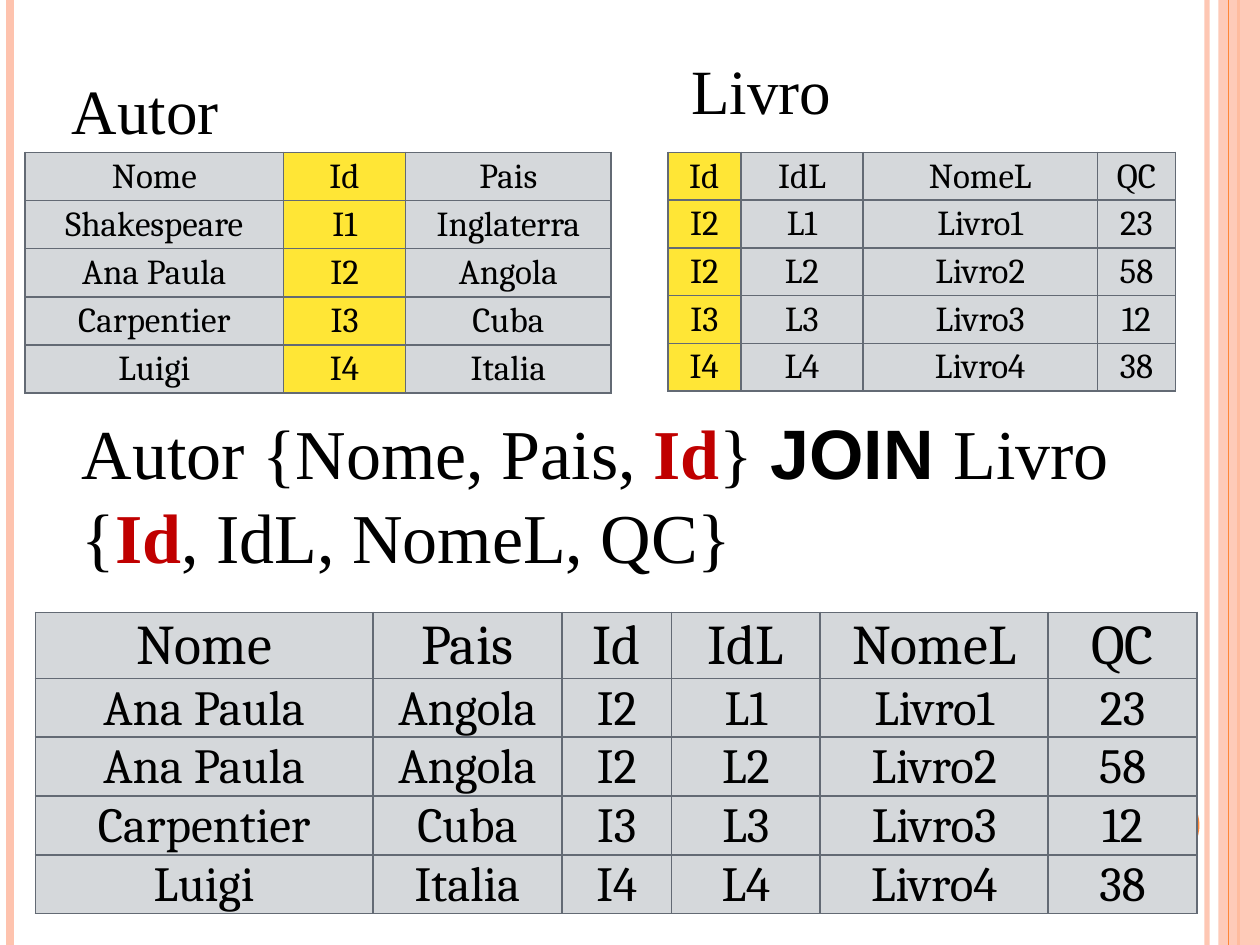
"""Build a slide that joins an author table with a book table."""
import dataclasses

import lxml.etree
import pptx
import pptx.dml.color
import pptx.enum.shapes
import pptx.enum.text
import pptx.oxml.ns
import pptx.util


@dataclasses.dataclass(frozen=True)
class Theme:
    orange: str = "FE8637"
    peach: str = "FEC3AE"
    gray: str = "D5D8DB"
    border: str = "636A74"
    yellow: str = "FFE636"
    red: str = "C00000"
    black: str = "000000"
    serif: str = "Times New Roman"
    sans: str = "Arial"
    table_font: str = "Cambria"
    label_size: int = 36
    query_size: int = 40
    small_size: int = 20
    header_size: int = 32
    large_size: int = 28


class SlideBuilder:
    COLUMNS, ROWS = 100, 75

    def __init__(self, presentation, theme):
        self.theme = theme
        self.slide = presentation.slides.add_slide(presentation.slide_layouts[5])
        self.column = presentation.slide_width / self.COLUMNS
        self.row = presentation.slide_height / self.ROWS

    def box(self, left, top, width, height):
        return (round(left * self.column), round(top * self.row),
                round(width * self.column), round(height * self.row))

    def color(self, value):
        return pptx.dml.color.RGBColor.from_string(value)

    def set_alpha(self, element, percent):
        color = element.find(".//" + pptx.oxml.ns.qn("a:srgbClr"))
        alpha = lxml.etree.SubElement(color, pptx.oxml.ns.qn("a:alpha"))
        alpha.set("val", str(percent * 1000))

    def stripe(self, column, color, width, opacity=100):
        left, top, _, bottom = self.box(column, 0, 0, self.ROWS)
        line = self.slide.shapes.add_connector(
            pptx.enum.shapes.MSO_CONNECTOR.STRAIGHT, left, top, left, bottom)
        line.line.color.rgb = self.color(color)
        line.line.width = pptx.util.Pt(width)
        properties = line._element.spPr
        if opacity < 100:
            self.set_alpha(properties, opacity)
        lxml.etree.SubElement(properties, pptx.oxml.ns.qn("a:effectLst"))

    def shape(self, kind, area, color, opacity=100):
        shape = self.slide.shapes.add_shape(kind, *self.box(*area))
        shape.shadow.inherit = False
        shape.fill.solid()
        shape.fill.fore_color.rgb = self.color(color)
        shape.line.fill.background()
        if opacity < 100:
            self.set_alpha(shape._element.spPr, opacity)

    def add_run(self, paragraph, text, size, font, color=None, bold=False):
        run = paragraph.add_run()
        run.text = text
        run.font.size = pptx.util.Pt(size)
        run.font.name = font
        run.font.bold = bold
        run.font.color.rgb = self.color(color or self.theme.black)

    def label(self, text, area):
        shape = self.slide.shapes.add_textbox(*self.box(*area))
        frame = shape.text_frame
        frame.word_wrap = True
        frame.auto_size = pptx.enum.text.MSO_AUTO_SIZE.SHAPE_TO_FIT_TEXT
        self.add_run(frame.paragraphs[0], text, self.theme.label_size, self.theme.serif)

    def title(self, runs, area):
        shape = self.slide.shapes.title
        shape.left, shape.top, shape.width, shape.height = self.box(*area)
        frame = shape.text_frame
        frame.word_wrap = True
        frame.auto_size = pptx.enum.text.MSO_AUTO_SIZE.SHAPE_TO_FIT_TEXT
        frame.vertical_anchor = pptx.enum.text.MSO_ANCHOR.TOP
        paragraph = frame.paragraphs[0]
        paragraph.alignment = pptx.enum.text.PP_ALIGN.LEFT
        for text, font, color, bold in runs:
            self.add_run(paragraph, text, self.theme.query_size, font, color, bold)

    def cell_borders(self, cell):
        properties = cell._tc.get_or_add_tcPr()
        for index, side in enumerate(("a:lnL", "a:lnR", "a:lnT", "a:lnB")):
            line = lxml.etree.Element(pptx.oxml.ns.qn(side), w=str(pptx.util.Pt(1)))
            fill = lxml.etree.SubElement(line, pptx.oxml.ns.qn("a:solidFill"))
            color = lxml.etree.SubElement(fill, pptx.oxml.ns.qn("a:srgbClr"))
            color.set("val", self.theme.border)
            properties.insert(index, line)

    def table(self, records, position, widths, heights, sizes, key_column=None):
        area = self.box(*position, sum(widths), sum(heights))
        table = self.slide.shapes.add_table(len(heights), len(widths), *area).table
        table.first_row = table.horz_banding = False
        for column, width in zip(table.columns, widths):
            column.width = round(width * self.column)
        for row, height, size, values in zip(table.rows, heights, sizes, records):
            row.height = round(height * self.row)
            for index, (cell, text) in enumerate(zip(row.cells, values)):
                cell.margin_left = cell.margin_right = pptx.util.Inches(0.05)
                cell.margin_top = pptx.util.Inches(0.06)
                cell.margin_bottom = 0
                cell.fill.solid()
                fill = self.theme.yellow if index == key_column else self.theme.gray
                cell.fill.fore_color.rgb = self.color(fill)
                self.cell_borders(cell)
                paragraph = cell.text_frame.paragraphs[0]
                paragraph.alignment = pptx.enum.text.PP_ALIGN.CENTER
                paragraph.line_spacing = 0.87
                self.add_run(paragraph, text, size, self.theme.table_font)


def main():
    presentation = pptx.Presentation()
    presentation.slide_width = pptx.util.Inches(10)
    presentation.slide_height = pptx.util.Inches(7.5)
    theme = Theme()
    builder = SlideBuilder(presentation, theme)
    shapes = pptx.enum.shapes.MSO_SHAPE

    builder.stripe(95.8, theme.peach, 3, 93)
    builder.stripe(0.8, theme.peach, 4.5)
    builder.stripe(98.3, theme.orange, 1.5)
    builder.shape(shapes.RECTANGLE, (96.7, 0, 3.3, 75), theme.peach, 87)
    builder.stripe(97.5, theme.orange, 0.75)
    builder.shape(shapes.OVAL, (89.2, 62.5, 6, 6), theme.orange)

    authors = [("Nome", "Id", "Pais"), ("Shakespeare", "I1", "Inglaterra"),
               ("Ana Paula", "I2", "Angola"), ("Carpentier", "I3", "Cuba"),
               ("Luigi", "I4", "Italia")]
    books = [("Id", "IdL", "NomeL", "QC"), ("I2", "L1", "Livro1", "23"),
             ("I2", "L2", "Livro2", "58"), ("I3", "L3", "Livro3", "12"),
             ("I4", "L4", "Livro4", "38")]
    joined = [(name, country, *book) for name, key, country in authors
              for book in books if book[0] == key]
    small_sizes = [theme.small_size] * 5

    builder.table(authors, (2, 12.1), (20.5, 9.7, 16.3), [3.82] * 5, small_sizes, 1)
    builder.label("Autor", (4.7, 5.2, 18.5, 7.1))
    builder.title([
        ("Autor {Nome, Pais, ", theme.serif, theme.black, False),
        ("Id", theme.serif, theme.red, True),
        ("} ", theme.serif, theme.black, False),
        ("JOIN ", theme.sans, theme.black, True),
        ("Livro {", theme.serif, theme.black, False),
        ("Id", theme.serif, theme.red, True),
        (", IdL, NomeL, QC}", theme.serif, theme.black, False),
    ], (5.5, 32, 91, 14.5))
    builder.table(books, (53, 12.1), (5.8, 9.7, 18.6, 6.2), [3.79] * 5, small_sizes, 0)
    builder.label("Livro", (53.9, 3.6, 18.9, 7.1))
    builder.table(joined, (2.8, 48.6), (26.8, 15, 8.7, 11.8, 18.1, 11.8),
                  [5.1] + [4.62] * 4, [theme.header_size] + [theme.large_size] * 4)

    presentation.save("out.pptx")


if __name__ == "__main__":
    main()
